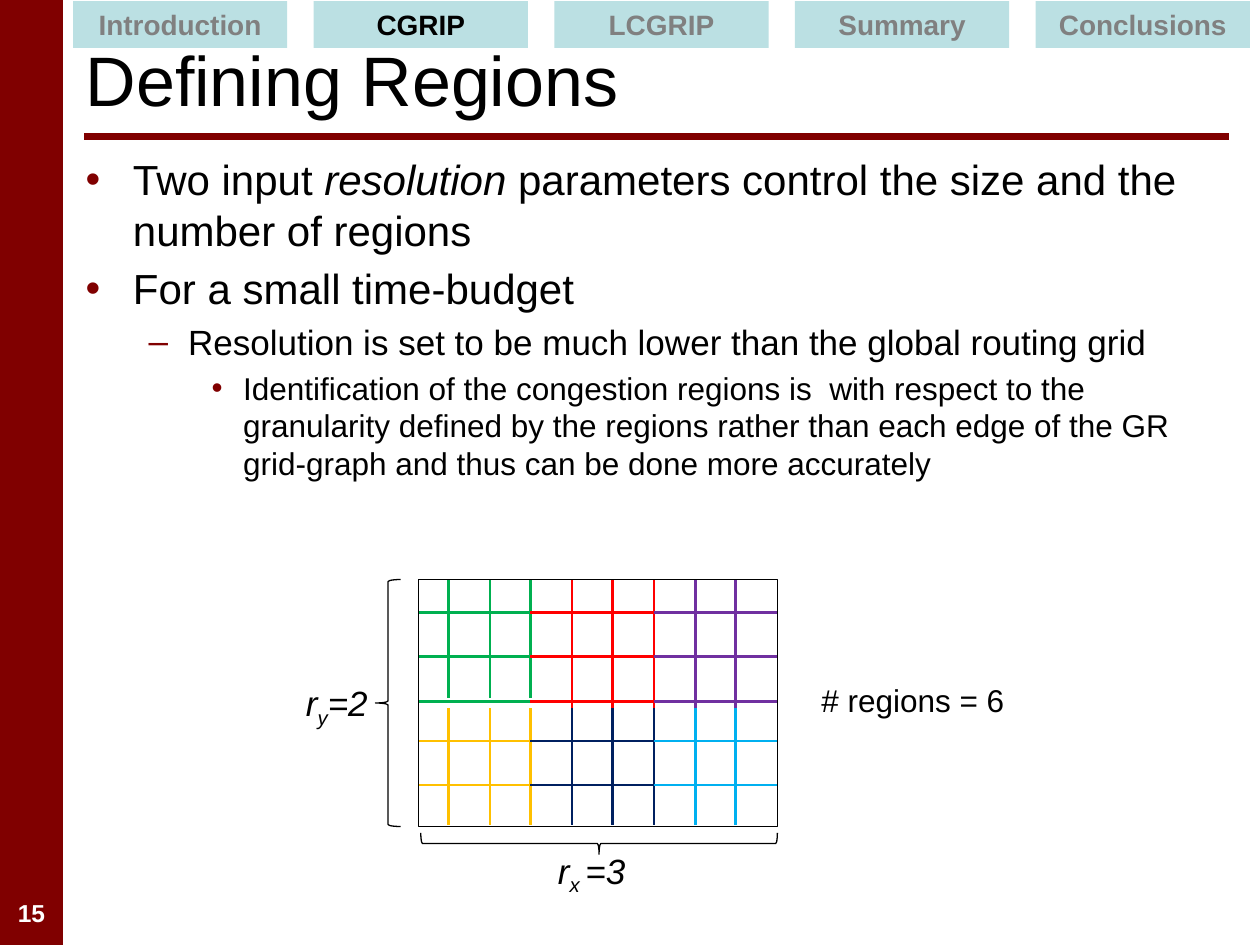
from lxml import etree
from pptx import Presentation
from pptx import util as u
from pptx.dml.color import RGBColor
from pptx.enum import shapes, text
from pptx.oxml import ns

PX = 9144
MAROON, BLACK, GREY, WHITE, TEAL = "800000", "000000", "808080", "FFFFFF", "BBE0E3"


def px(*lengths):
    return [u.Emu(length * PX) for length in lengths]


def color(value):
    return RGBColor.from_string(value)


def assign(target, values):
    for name, value in values.items():
        setattr(target, name, value)


class SlideStyle:
    font = "Arial"
    thin = 0.75

    def __init__(self, slide):
        self.slide = slide

    def add_runs(self, paragraph, runs, size, ink=BLACK, bold=False, align=text.PP_ALIGN.LEFT):
        paragraph.alignment = align
        for words, italic, baseline in runs:
            run = paragraph.add_run()
            run.text = words
            assign(run.font, {"name": self.font, "size": u.Pt(size), "bold": bold, "italic": italic})
            run.font.color.rgb = color(ink)
            if baseline:
                run._r.get_or_add_rPr().set("baseline", str(baseline * 1000))

    def placeholder(self, index, box, anchor):
        holder = self.slide.placeholders[index]
        assign(holder, dict(zip(("left", "top", "width", "height"), px(*box))))
        assign(holder.text_frame, {"auto_size": text.MSO_AUTO_SIZE.NONE,
                                   "vertical_anchor": anchor, "word_wrap": True})
        return holder.text_frame

    def title(self, box, words):
        frame = self.placeholder(0, box, text.MSO_ANCHOR.MIDDLE)
        self.add_runs(frame.paragraphs[0], [(words, False, 0)], 40)

    def bullets(self, box, items):
        frame = self.placeholder(1, box, text.MSO_ANCHOR.TOP)
        for number, (level, runs) in enumerate(items):
            paragraph = frame.add_paragraph() if number else frame.paragraphs[0]
            paragraph.level = level
            self.add_runs(paragraph, runs, (24, 20, 18)[level])
            bullet = etree.SubElement(paragraph._p.get_or_add_pPr(), ns.qn("a:buClr"))
            etree.SubElement(bullet, ns.qn("a:srgbClr"), val=MAROON)

    def label(self, box, runs, size, wrap=True, **style):
        frame = self.slide.shapes.add_textbox(*px(*box)).text_frame
        frame.word_wrap = wrap
        self.add_runs(frame.paragraphs[0], runs, size, **style)

    def shape(self, kind, box, fill=None, outline=None):
        shape = self.slide.shapes.add_shape(kind, *px(*box))
        shape.shadow.inherit = False
        if fill:
            shape.fill.solid()
            shape.fill.fore_color.rgb = color(fill)
        else:
            shape.fill.background()
        if outline:
            shape.line.color.rgb = color(outline)
            shape.line.width = u.Pt(self.thin)
        else:
            shape.line.fill.background()
        return shape

    def brace(self, box, rotation=0):
        brace = self.shape(shapes.MSO_SHAPE.LEFT_BRACE, box, outline=BLACK)
        brace.rotation = rotation
        brace.adjustments[0] = 0.08

    def tab(self, box, words, ink):
        tab = self.shape(shapes.MSO_SHAPE.RECTANGLE, box, TEAL)
        tab.text_frame.word_wrap = True
        self.add_runs(tab.text_frame.paragraphs[0], [(words, False, 0)], 16, ink, True,
                      text.PP_ALIGN.CENTER)

    def line(self, start, end, ink, width):
        line = self.slide.shapes.add_connector(shapes.MSO_CONNECTOR.STRAIGHT, *px(*start, *end))
        line.line.color.rgb = color(ink)
        line.line.width = u.Pt(width)
        etree.SubElement(line._element.spPr, ns.qn("a:effectLst"))


def draw_regions(style):
    edges = [332, 421, 519, 617]
    columns = [round(356 + 32.6 * step) for step in range(8)]
    bands = [
        (460, 562, [486, 521, 557], ["00B050", "FF0000", "7030A0"]),
        (562, 655, [588, 623], ["FFC000", "002060", "00B0F0"]),
    ]
    for top, bottom, rows, inks in bands:
        for y in rows:
            style.line((609, y), (332, y), BLACK, style.thin)
        for region, ink in enumerate(inks):
            for y in rows:
                style.line((edges[region], y), (edges[region + 1], y), ink, 1.5)
            end = 554 if (top, region) == (460, 0) else bottom
            for x in columns[3 * region:3 * region + 3]:
                style.line((x, top), (x, end), ink, 1.5)
    style.shape(shapes.MSO_SHAPE.RECTANGLE, (332, 460, 285, 196), outline=BLACK)
    style.brace((298, 460, 20, 196))
    style.brace((467, 528, 17, 283), 270)
    style.label((233, 536, 71, 39), [("r", True, 0), ("y", True, -25), ("=2", True, 0)], 20, False)
    style.label((433, 669, 126, 39), [("r", True, 0), ("x ", True, -25), ("=3", True, 0)], 20)
    style.label((642, 536, 165, 33), [("# regions = 6", False, 0)], 18)


def main():
    deck = Presentation()
    assign(deck, dict(zip(("slide_width", "slide_height"), px(1000, 750))))
    style = SlideStyle(deck.slides.add_slide(deck.slide_layouts[1]))
    style.shape(shapes.MSO_SHAPE.RECTANGLE, (0, 0, 50, 750), MAROON)
    style.line((67, 108), (975, 108), MAROON, 4)
    style.label((0, 708, 50, 33), [("15", False, 0)], 14, ink=WHITE, bold=True,
                align=text.PP_ALIGN.CENTER)
    style.title((58, 8, 917, 108), "Defining Regions")
    style.bullets((58, 117, 908, 583), [
        (0, [("Two input ", False, 0), ("resolution ", True, 0),
             ("parameters control the size and the number of regions", False, 0)]),
        (0, [("For a small time-budget", False, 0)]),
        (1, [("Resolution is set to be much lower than the global routing grid", False, 0)]),
        (2, [("Identification of the congestion regions is  with respect to the granularity "
              "defined by the regions rather than each edge of the GR grid-graph and thus "
              "can be done more accurately", False, 0)]),
    ])
    draw_regions(style)
    sections = ["Introduction", "CGRIP", "LCGRIP", "Summary", "Conclusions"]
    for number, section in enumerate(sections):
        style.tab((58 + 191 * number, 1, 170, 37), section, BLACK if section == "CGRIP" else GREY)
    deck.save("out.pptx")


if __name__ == "__main__":
    main()
